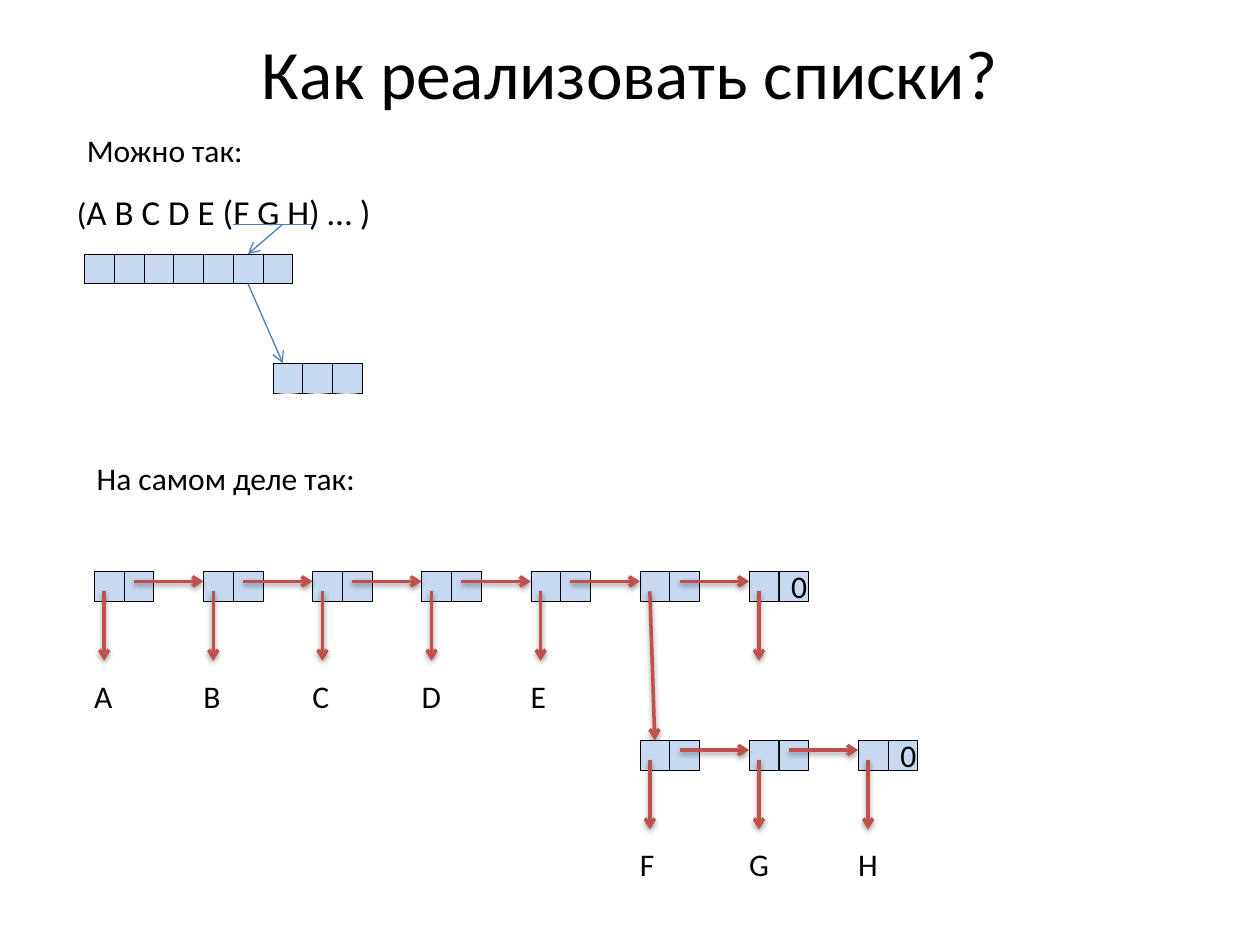
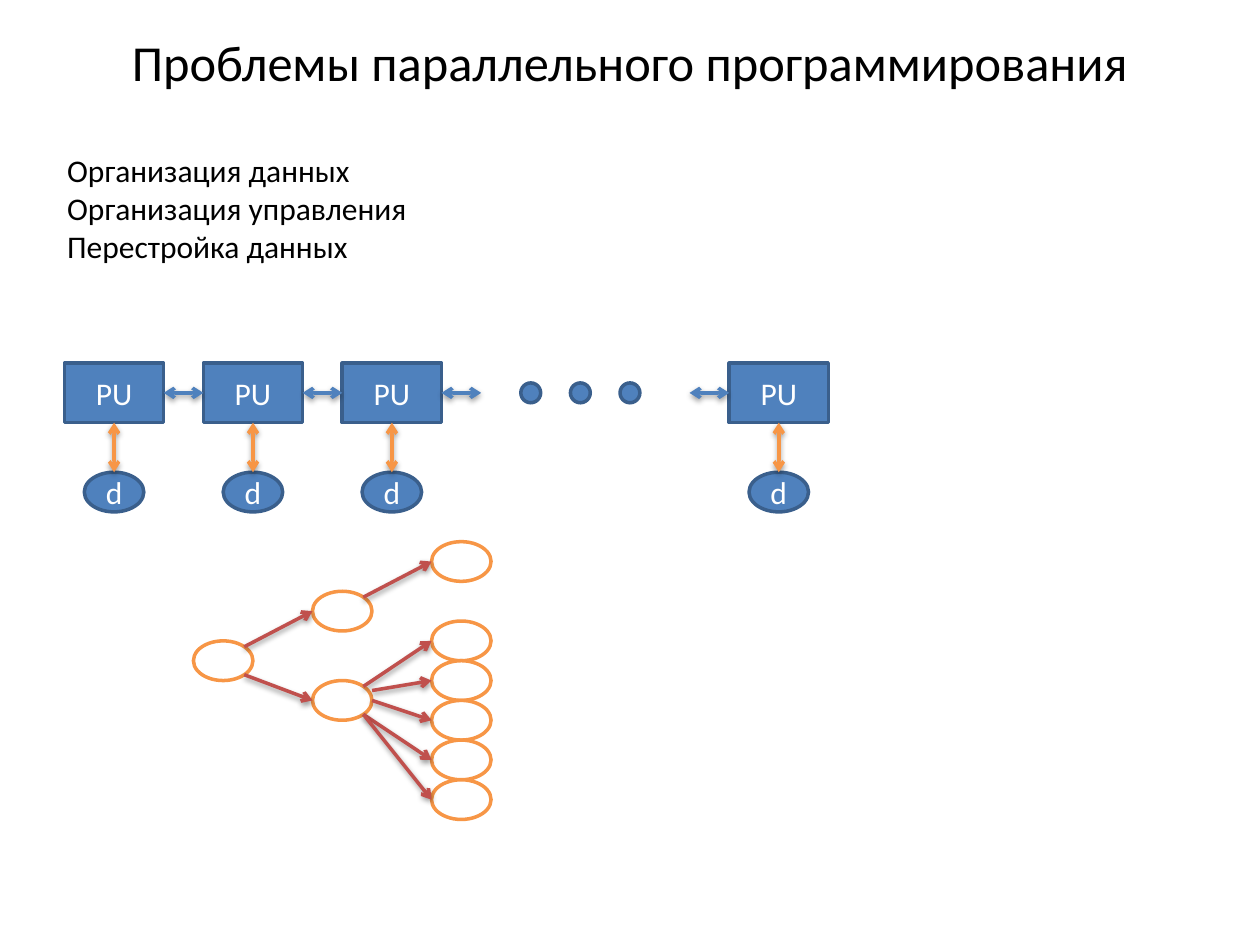
from lxml.etree import SubElement
from pptx import Presentation
from pptx.dml.color import RGBColor
from pptx.enum.shapes import MSO_CONNECTOR, MSO_SHAPE
from pptx.enum.text import MSO_ANCHOR, MSO_AUTO_SIZE, PP_ALIGN
from pptx.oxml.ns import qn
from pptx.util import Inches, Mm, Pt

COLORS = {"text": "000000", "white": "FFFFFF", "cell": "C6D9F1", "thin": "4B7EBC",
          "red": "C0504D", "blue": "4F81BD", "navy": "3A5F8C", "orange": "F79646"}
FONT = "Calibri"
CELL = 3
PITCH = 11
UNIT = 2
NODE = (6, 4)
UPPER, LOWER, RIGHT, RIGHT_HIGH = (5.12, 0.59), (5.12, 3.41), (6, 2), (6, 1)


def rgb(name):
    """Return a named palette colour."""
    return RGBColor.from_string(COLORS[name])


def span(units):
    """Return the length of a number of grid units."""
    return Mm(UNIT * units)


def point(col, row):
    """Return the slide position of a grid crossing."""
    return Mm(1 + UNIT * col), Mm(1.2 + UNIT * row)


def style(p, size=18, color="text", align=PP_ALIGN.LEFT):
    """Format a paragraph and its runs."""
    p.alignment = align
    for r in p.runs:
        r.font.name, r.font.size = FONT, Pt(size)
        r.font.color.rgb = rgb(color)


def add_title(s, text, size, height):
    """Fill and place the title placeholder."""
    title = s.shapes.title
    title.left, title.top = Inches(0.5), Inches(0.3)
    title.width, title.height = Inches(9), Inches(height)
    tf = title.text_frame
    tf.text = text
    tf.auto_size = MSO_AUTO_SIZE.NONE
    tf.vertical_anchor = MSO_ANCHOR.MIDDLE
    style(tf.paragraphs[0], size, align=PP_ALIGN.CENTER)


def add_body(s, lines, col, row, cols, rows):
    """Fill the body placeholder with plain lines."""
    body = s.placeholders[1]
    body.left, body.top = point(col, row)
    body.width, body.height = span(cols), span(rows)
    tf = body.text_frame
    tf.text = "\n".join(lines)
    tf.auto_size = MSO_AUTO_SIZE.NONE
    for p in tf.paragraphs:
        pPr = p._p.get_or_add_pPr()
        pPr.set("marL", "0")
        pPr.set("indent", "0")
        p.space_before = Pt(0)
        SubElement(pPr, qn("a:buNone"))
        style(p)


def add_label(s, text, col, row, cols, size=18):
    """Add a one-line text box and return its text frame."""
    tf = s.shapes.add_textbox(*point(col, row), span(cols), span(5)).text_frame
    tf.word_wrap = True
    tf.text = text
    style(tf.paragraphs[0], size)
    return tf


def add_letters(s, letters, col, row):
    """Write letters one list pitch apart, on tab stops."""
    tf = add_label(s, "\t".join(letters), col, row, PITCH * len(letters))
    tf.margin_left = 0
    tabs = SubElement(tf.paragraphs[0]._p.get_or_add_pPr(), qn("a:tabLst"))
    for i in range(1, len(letters)):
        SubElement(tabs, qn("a:tab"), pos=str(span(PITCH * i)), algn="l")


def add_figure(shapes, kind, col, row, size, fill, line, width=2, text="", color="white"):
    """Add a filled preset shape with optional centred text."""
    sp = shapes.add_shape(kind, *point(col, row), *map(span, size))
    sp.shadow.inherit = False
    sp.fill.solid()
    sp.fill.fore_color.rgb = rgb(fill)
    sp.line.color.rgb = rgb(line)
    sp.line.width = Pt(width)
    if text:
        sp.text_frame.text = text
        sp.text_frame.vertical_anchor = MSO_ANCHOR.MIDDLE
        style(sp.text_frame.paragraphs[0], color=color, align=PP_ALIGN.CENTER)


def add_line(shapes, start, end, color, width=2, ends=("tailEnd",), shadow=True):
    """Add a straight line with arrowheads and a soft shadow."""
    cxn = shapes.add_connector(MSO_CONNECTOR.STRAIGHT, *point(*start), *point(*end))
    cxn.line.color.rgb = rgb(color)
    cxn.line.width = Pt(width)
    spPr = cxn._element.spPr
    for end_name in ends:
        SubElement(spPr.find(qn("a:ln")), qn("a:" + end_name), type="arrow")
    effects = SubElement(spPr, qn("a:effectLst"))
    if shadow:
        outer = SubElement(effects, qn("a:outerShdw"), blurRad="40000", dist="20000",
                           dir="5400000", rotWithShape="0")
        black = SubElement(outer, qn("a:srgbClr"), val=COLORS["text"])
        SubElement(black, qn("a:alpha"), val="38000")


def add_double_arrow(shapes, start, end, color):
    """Add an arrow with a head at both ends."""
    add_line(shapes, start, end, color, ends=("headEnd", "tailEnd"))


def add_cells(s, col, row, count, last=""):
    """Add a row of adjoining memory cells."""
    for i in range(count):
        add_figure(s.shapes, MSO_SHAPE.RECTANGLE, col + CELL * i, row, (CELL, CELL),
                   "cell", "text", 0.25, last if i == count - 1 else "", "text")


def add_chain(s, col, row, count, nested=None):
    """Add a linked list of two-cell nodes; the nested node points to a sublist."""
    starts = [col + PITCH * i for i in range(count)]
    for start in starts:
        add_cells(s, start, row, 2, "0" if start == starts[-1] else "")
    for start in starts[:-1]:
        add_line(s.shapes, (start + 4, row + 1), (start + PITCH, row + 1), "red")
    for i, start in enumerate(starts):
        target = (start + 1.5, row + 17) if i == nested else (start + 1, row + 9)
        add_line(s.shapes, (start + 1, row + 2), target, "red")


def add_processor(s, col, row):
    """Add a grouped processing unit with its data node."""
    shapes = s.shapes.add_group_shape().shapes
    add_figure(shapes, MSO_SHAPE.RECTANGLE, col, row, (10, 6), "blue", "navy", text="PU")
    add_figure(shapes, MSO_SHAPE.OVAL, col + 2, row + 11, NODE, "blue", "navy", text="d")
    add_double_arrow(shapes, (col + 5, row + 6), (col + 5, row + 11), "orange")


def add_tree(s, nodes, edges):
    """Add empty tree nodes and arrows to their children."""
    for col, row in nodes:
        add_figure(s.shapes, MSO_SHAPE.OVAL, col, row, NODE, "white", "orange")
    for parent, child, (dx, dy) in edges:
        col, row = nodes[parent]
        child_col, child_row = nodes[child]
        add_line(s.shapes, (col + dx, row + dy), (child_col, child_row + 2), "red")


def build_lists(prs):
    """Build the slide on list representations."""
    s = prs.slides.add_slide(prs.slide_layouts[5])
    add_title(s, "Как реализовать списки?", 39.6, 0.54)
    add_label(s, "Можно так:", 7, 12, 62)
    p = add_label(s, "(", 6, 18, 36).paragraphs[0]
    p.add_run().text = "A B C D E (F G H) … )"
    style(p, 20)
    p.runs[0].font.size = Pt(18)
    add_cells(s, 8, 25, 7)
    add_cells(s, 27, 36, 3)
    add_line(s.shapes, (23, 22), (31, 22), "thin", 0.75, (), False)
    for start, end in [((28, 22), (24.5, 25)), ((24.5, 28), (28, 36))]:
        add_line(s.shapes, start, end, "thin", 0.75, shadow=False)
    add_label(s, "На самом деле так:", 8, 45, 62)
    add_chain(s, 9, 57, 7, nested=5)
    add_letters(s, "ABCDE", 9, 67)
    sublist = 9 + 5 * PITCH
    add_chain(s, sublist, 74, 3)
    add_letters(s, "FGH", sublist, 84)


def build_parallel(prs):
    """Build the slide on parallel programming."""
    s = prs.slides.add_slide(prs.slide_layouts[1])
    add_title(s, "Проблемы параллельного программирования", 28.8, 0.38)
    add_body(s, ["Организация данных", "Организация управления", "Перестройка данных"],
             5, 14, 116, 13)
    for col in (6, 20, 34, 73):
        add_processor(s, col, 36)
    for col in (52, 57, 62):
        add_figure(s.shapes, MSO_SHAPE.OVAL, col, 38, (2, 2), "blue", "navy")
    for col in (16, 30, 44, 69):
        add_double_arrow(s.shapes, (col, 39), (col + 4, 39), "blue")
    nodes = [(19, 64), (31, 59), (31, 68), (43, 54)] + [(43, 62 + 4 * i) for i in range(5)]
    add_tree(s, nodes, [(0, 1, UPPER), (0, 2, LOWER), (1, 3, UPPER), (2, 4, UPPER),
                        (2, 5, RIGHT_HIGH), (2, 6, RIGHT), (2, 7, LOWER), (2, 8, LOWER)])


def main():
    """Build and save the presentation."""
    prs = Presentation()
    prs.slide_width, prs.slide_height = Inches(10), Inches(7.5)
    build_lists(prs)
    build_parallel(prs)
    prs.save("out.pptx")


if __name__ == "__main__":
    main()
